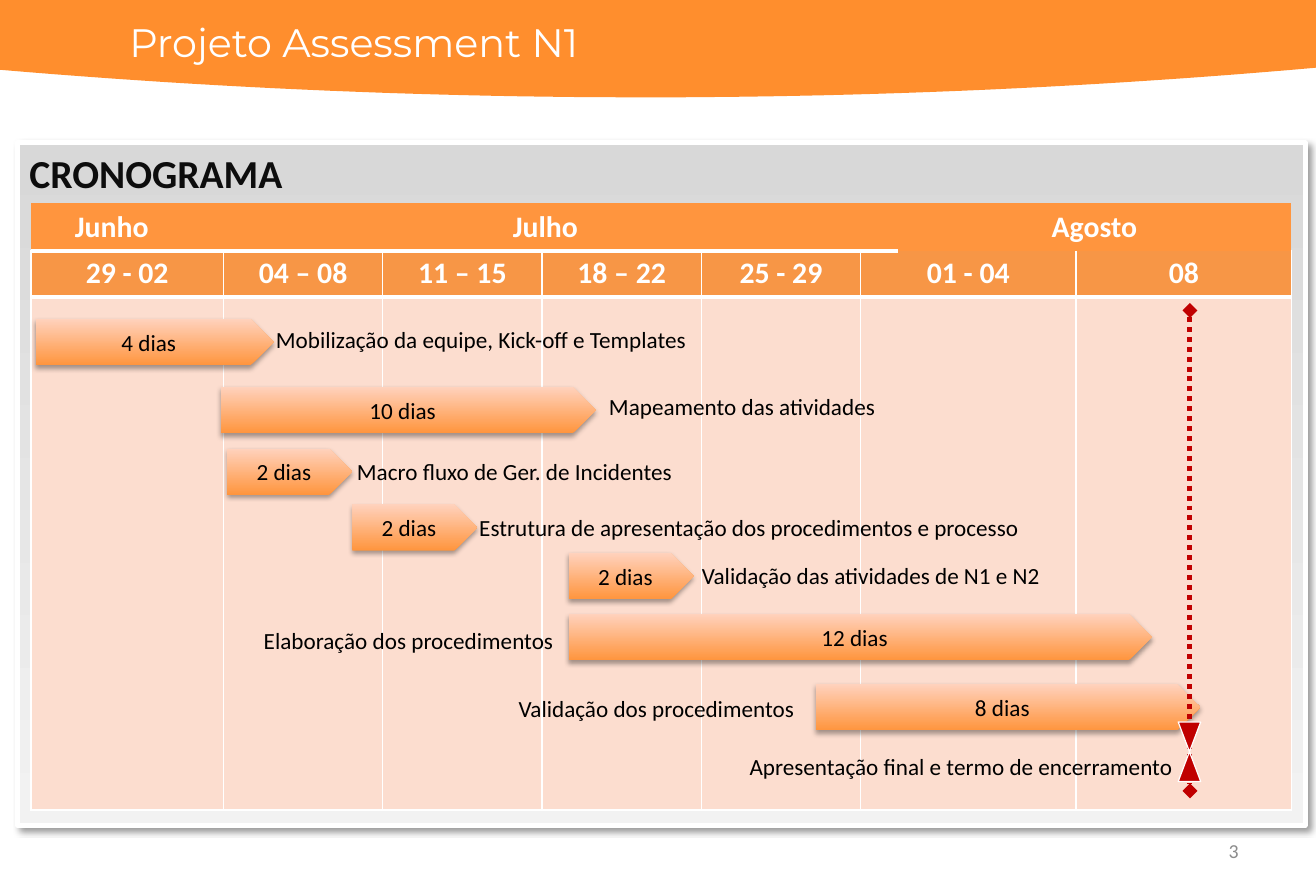
"""Build the project schedule slide with its calendar, task bars and milestone."""
from pptx import Presentation
from pptx.dml.color import RGBColor as Rgb
from pptx.enum.dml import MSO_LINE as Dash
from pptx.enum.shapes import MSO_CONNECTOR as Link, MSO_SHAPE as Shape
from pptx.enum.text import MSO_ANCHOR as Anchor, PP_ALIGN as Align
from pptx.oxml import parse_xml
from pptx.oxml.ns import nsdecls, qn
from pptx.util import Cm, Pt


class Theme:
    white, black, ink, gray = "FFFFFF", "000000", "0D0D0D", "8C8C8C"
    banner, month, week, body = "FF8E2D", "FF953E", "F79646", "FCDDCF"
    panel = ("D8D8D8", "F2F2F2")
    bar = ("FF953E", "FFD2BD")
    mark = "C00000"
    font, title = "Calibri", "Montserrat"
    big, head, text, small = Pt(24), Pt(18), Pt(14), Pt(12)


def write(frame, text, size, color, align=Align.LEFT, bold=False, font=Theme.font):
    frame.word_wrap = True
    para = frame.paragraphs[0]
    para.alignment = align
    run = para.add_run()
    run.text = text
    run.font.size, run.font.bold, run.font.name = size, bold, font
    run.font.color.rgb = Rgb.from_string(color)


def shade(shape, colors, angle, alpha, blur, dist, turn):
    shape.fill.gradient()
    shape.fill.gradient_angle = angle
    for stop, color in zip(shape.fill.gradient_stops, colors):
        stop.color.rgb = Rgb.from_string(color)
    shape.shadow.inherit = False
    shape._element.spPr.find(qn("a:effectLst")).append(parse_xml(
        f'<a:outerShdw {nsdecls("a")} blurRad="{Pt(blur)}" dist="{Pt(dist)}" '
        f'dir="{turn * 60000}" algn="tl" rotWithShape="0"><a:srgbClr val="{Theme.black}">'
        f'<a:alpha val="{alpha * 1000}"/></a:srgbClr></a:outerShdw>'))


deck = Presentation()
deck.slide_width, deck.slide_height = Cm(28.09), Cm(19.05)
slide = deck.slides.add_slide(deck.slide_layouts[6])
shapes = slide.shapes

panel = shapes.add_shape(Shape.RECTANGLE, Cm(0.38), Cm(3.05), Cm(27.48), Cm(14.58))
shade(panel, Theme.panel, 270, 40, 4, 3, 45)
panel.line.color.rgb = Rgb.from_string(Theme.white)
panel.line.width = Pt(3)
panel.text_frame.vertical_anchor = Anchor.TOP
write(panel.text_frame, "CRONOGRAMA", Theme.big, Theme.ink, Align.JUSTIFY, True)

steps = 48
curve = [(28.09 * i / steps, 2.08 - 0.58 * ((28.09 * i / steps - 13.79) / 13.69) ** 2)
         for i in range(steps, -1, -1)]
path = shapes.build_freeform(0, 0)
path.add_line_segments([(Cm(x), Cm(y)) for x, y in [(28.09, 0)] + curve])
banner = path.convert_to_shape()
banner.shadow.inherit = False
banner.fill.solid()
banner.fill.fore_color.rgb = Rgb.from_string(Theme.banner)
banner.line.fill.background()

page = shapes.add_textbox(Cm(20.14), Cm(17.65), Cm(6.55), Cm(1.02)).text_frame
page.vertical_anchor = Anchor.MIDDLE
write(page, "3", Theme.small, Theme.gray, Align.RIGHT)
title = shapes.add_textbox(Cm(2.51), Cm(0.25), Cm(15.16), Cm(1.27)).text_frame
write(title, "Projeto Assessment N1", Theme.big, Theme.white, font=Theme.title)

weeks = ["29 - 02", "04 – 08", "11 – 15", "18 – 22", "25 - 29", "01 - 04", "08"]
months = ["Junho", "Julho", "Agosto"]
grids = [
    (5.33, [4.11] + [3.4] * 4 + [4.6] * 2, [
        (1, weeks, Theme.week, 1, 0, [3] * 7),
        (10.95, [""] * 7, Theme.body, 1, 3, [1] * 7)]),
    (4.34, [3.45, 15.06, 8.38], [
        (1.02, months, Theme.month, 0, 0, [3, 3, 0])]),
]
for top, cols, rows in grids:
    high = sum(row[0] for row in rows)
    table = shapes.add_table(len(rows), len(cols), Cm(0.66), Cm(top),
                             Cm(sum(cols)), Cm(high)).table
    table.first_row = table.horz_banding = False
    for col, wide in zip(table.columns, cols):
        col.width = Cm(wide)
    for row, (tall, texts, color, side, upper, lower) in zip(table.rows, rows):
        row.height = Cm(tall)
        for cell, text, base in zip(row.cells, texts, lower):
            props = cell._tc.get_or_add_tcPr()
            for edge, width in zip("LRTB", (side, side, upper, base)):
                paint = (f'<a:solidFill><a:srgbClr val="{Theme.white}"/></a:solidFill>'
                         if width else "<a:noFill/>")
                props.append(parse_xml(
                    f'<a:ln{edge} {nsdecls("a")} w="{Pt(width)}">{paint}</a:ln{edge}>'))
            cell.fill.solid()
            cell.fill.fore_color.rgb = Rgb.from_string(color)
            if text:
                write(cell.text_frame, text, Theme.head, Theme.white, Align.CENTER, True)

bars = [
    ("4 dias", 0.76, 6.81, 5.08),
    ("10 dias", 4.72, 8.26, 8),
    ("2 dias", 4.85, 9.58, 2.67),
    ("2 dias", 7.52, 10.77, 2.67),
    ("2 dias", 12.14, 11.81, 2.67),
    ("12 dias", 12.14, 13.11, 12.45),
    ("8 dias", 17.42, 14.61, 8.2),
]
for days, left, top, wide in bars:
    bar = shapes.add_shape(Shape.PENTAGON, Cm(left), Cm(top), Cm(wide), Cm(0.99))
    shade(bar, Theme.bar, 90, 35, 3.1, 1.8, 90)
    bar.line.fill.background()
    bar.text_frame.vertical_anchor = Anchor.MIDDLE
    write(bar.text_frame, days, Theme.text, Theme.black, Align.CENTER)

labels = [
    ("Mobilização da equipe, Kick-off e Templates", 5.64, 6.83, 15.16),
    ("Mapeamento das atividades", 12.75, 8.26, 12.34),
    ("Macro fluxo de Ger. de Incidentes", 7.37, 9.65, 15.16),
    ("Estrutura de apresentação dos procedimentos e processo", 9.98, 10.85, 15.16),
    ("Validação das atividades de N1 e N2", 14.73, 11.86, 12),
    ("Elaboração dos procedimentos", 5.38, 13.26, 6.81),
    ("Validação dos procedimentos", 10.82, 14.71, 6.6),
    ("Apresentação final e termo de encerramento", 15.75, 15.95, 12),
]
for text, left, top, wide in labels:
    label = shapes.add_textbox(Cm(left), Cm(top), Cm(wide), Cm(0.86))
    write(label.text_frame, text, Theme.text, Theme.black)

goal = shapes.add_connector(Link.STRAIGHT, Cm(25.4), Cm(6.63), Cm(25.4), Cm(16.89))
goal.line.color.rgb = Rgb.from_string(Theme.mark)
goal.line.width = Pt(3)
goal.line.dash_style = Dash.ROUND_DOT
stroke = goal.line._get_or_add_ln()
for end in ("headEnd", "tailEnd"):
    stroke.append(parse_xml(f'<a:{end} {nsdecls("a")} type="diamond"/>'))
goal._element.spPr.append(parse_xml(f'<a:effectLst {nsdecls("a")}/>'))

glass = shapes.add_shape(Shape.FLOWCHART_COLLATE, Cm(25.15), Cm(15.42), Cm(0.48), Cm(1.27))
glass.shadow.inherit = False
glass.fill.solid()
glass.fill.fore_color.rgb = Rgb.from_string(Theme.mark)
glass.line.color.rgb = Rgb.from_string(Theme.white)
glass.line.width = Pt(0.75)

deck.save("out.pptx")
